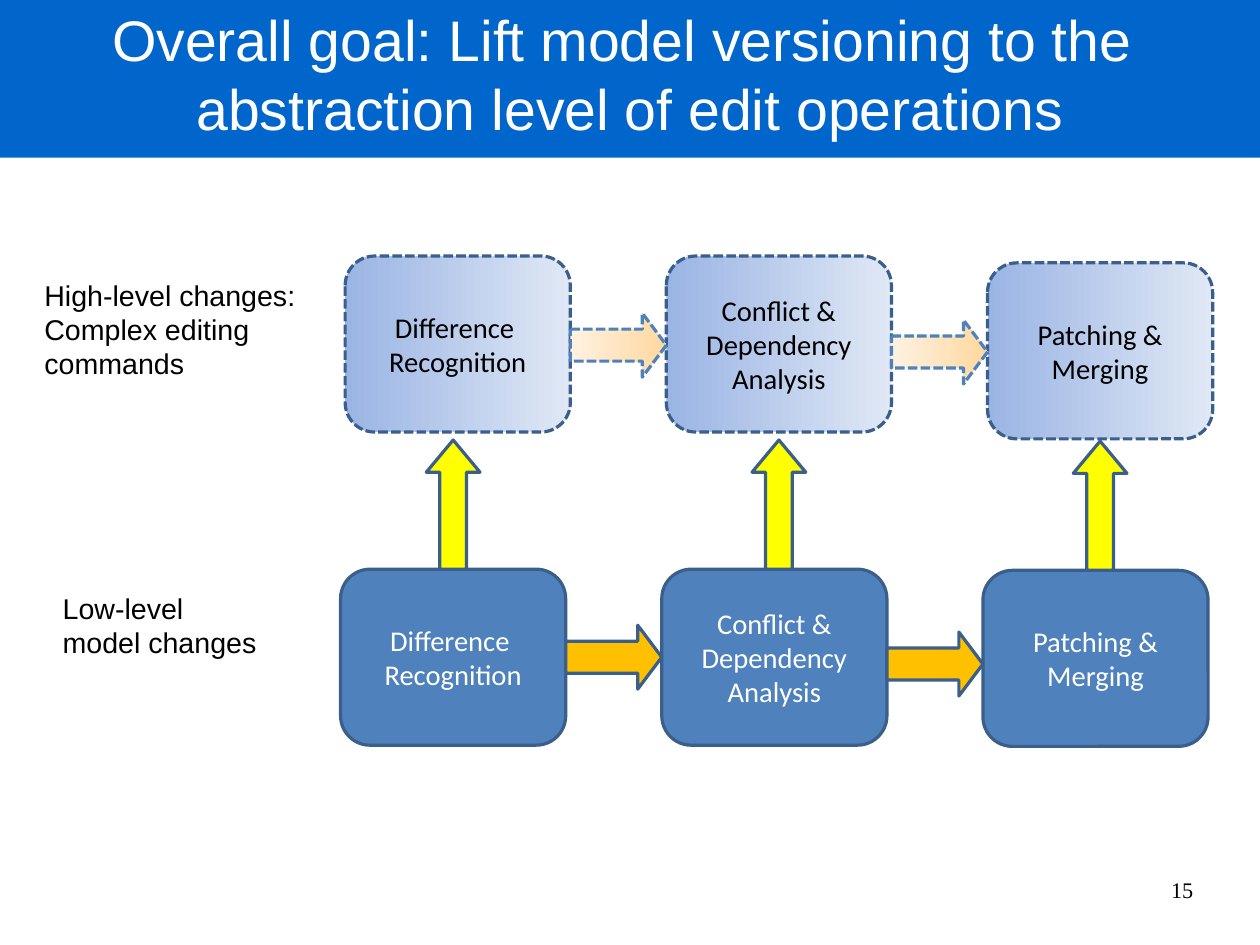
"""Builds the slide on lifting model versioning to edit operations."""
from pptx import Presentation
from pptx.dml.color import RGBColor
from pptx.enum.dml import MSO_LINE
from pptx.enum.shapes import MSO_SHAPE
from pptx.enum.text import MSO_ANCHOR, MSO_AUTO_SIZE, PP_ALIGN
from pptx.util import Inches, Pt

RECT, ROUNDED = MSO_SHAPE.RECTANGLE, MSO_SHAPE.ROUNDED_RECTANGLE
RIGHT_ARROW, UP_ARROW = MSO_SHAPE.RIGHT_ARROW, MSO_SHAPE.UP_ARROW
LEFT, CENTER, RIGHT = PP_ALIGN.LEFT, PP_ALIGN.CENTER, PP_ALIGN.RIGHT
TOP, MIDDLE = MSO_ANCHOR.TOP, MSO_ANCHOR.MIDDLE
FIT_SHAPE = MSO_AUTO_SIZE.SHAPE_TO_FIT_TEXT
SHORT_DASH = MSO_LINE.SQUARE_DOT

CM_PER_INCH = 2.54
SLIDE_W, SLIDE_H = 28 / CM_PER_INCH, 21 / CM_PER_INCH
TITLE = ["Overall goal: Lift model versioning to the \n"
         "abstraction level of edit operations"]
PAGE_NUMBER = ["15"]
STEPS = [["Difference ", "Recognition"],
         ["Conflict & Dependency", "Analysis"],
         ["Patching &", "Merging"]]
LEVELS = [
    dict(label=["Low-level", "model changes"], label_at=(0.45, 5.12, 1.93, 0.7),
         left=2.98, tops=(4.98, 4.98, 4.99), flow_tops=(5.47, 5.53),
         box_fill=["4F81BD"], text="FFFFFF", flow_fill=["FFC000"],
         flow_line="3A5F8B", dash=None),
    dict(label=["High-level changes:", "Complex editing", "commands"],
         label_at=(0.29, 2.38, 2.43, 1.6),
         left=3.02, tops=(2.24, 2.24, 2.3), flow_tops=(2.74, 2.8),
         box_fill=["9AB4E4", "E0E8F5"], text="000000",
         flow_fill=["FFF2E2", "FFD89F"], flow_line="4F81BD", dash=SHORT_DASH),
]
LIFTS = [(3.73, 3.85), (6.58, 3.85), (9.39, 3.86)]
BOX_W, BOX_H, PITCH = 1.97, 1.54, 2.81
FLOW_W, FLOW_H = 0.84, 0.56
LIFT_W, LIFT_H = 0.47, 1.13
OUTLINE = "3A5F8B"


def color(value):
    return RGBColor.from_string(value)


def write(frame, lines, font, size, ink, align, anchor, margins=(0.1, 0.05), wrap=True):
    frame.word_wrap = wrap
    frame.vertical_anchor = anchor
    frame.margin_left = frame.margin_right = Inches(margins[0])
    frame.margin_top = frame.margin_bottom = Inches(margins[1])
    for index, line in enumerate(lines):
        paragraph = frame.add_paragraph() if index else frame.paragraphs[0]
        paragraph.alignment = align
        for row, words in enumerate(line.split("\n")):
            if row:
                paragraph.add_line_break()
            run = paragraph.add_run()
            run.text = words
            run.font.name = font
            run.font.size = Pt(size)
            run.font.color.rgb = color(ink)


def draw(shapes, kind, at, fills, line=None, dash=None, adjustments=()):
    part = shapes.add_shape(kind, *map(Inches, at))
    part.shadow.inherit = False
    if len(fills) == 1:
        part.fill.solid()
        part.fill.fore_color.rgb = color(fills[0])
    else:
        part.fill.gradient()
        part.fill.gradient_angle = 0
        for stop, value in zip(part.fill.gradient_stops, fills):
            stop.color.rgb = color(value)
    if line:
        part.line.color.rgb = color(line)
        part.line.width = Pt(2)
        if dash:
            part.line.dash_style = dash
    else:
        part.line.fill.background()
    for index, value in enumerate(adjustments):
        part.adjustments[index] = value
    return part


def draw_level(shapes, level):
    lefts = [level["left"] + PITCH * column for column in range(len(STEPS))]
    for step, left, top in zip(STEPS, lefts, level["tops"]):
        box = draw(shapes, ROUNDED, (left, top, BOX_W, BOX_H), level["box_fill"],
                   OUTLINE, level["dash"], [0.167])
        write(box.text_frame, step, "Calibri", 18, level["text"], CENTER, MIDDLE)
    label = shapes.add_textbox(*map(Inches, level["label_at"])).text_frame
    write(label, level["label"], "Arial", 18, "000000", LEFT, TOP, wrap=False)
    label.auto_size = FIT_SHAPE
    for left, top in zip(lefts, level["flow_tops"]):
        draw(shapes, RIGHT_ARROW, (left + BOX_W, top, FLOW_W, FLOW_H),
             level["flow_fill"], level["flow_line"], level["dash"], [0.5, 0.376])


def main():
    deck = Presentation()
    deck.slide_width, deck.slide_height = Inches(SLIDE_W), Inches(SLIDE_H)
    shapes = deck.slides.add_slide(deck.slide_layouts[6]).shapes
    for level in LEVELS:
        draw_level(shapes, level)
    for left, top in LIFTS:
        draw(shapes, UP_ARROW, (left, top, LIFT_W, LIFT_H), ["FFFF00"], OUTLINE,
             adjustments=[0.5, 0.6])
    banner = draw(shapes, RECT, (0, -0.1, SLIDE_W, 1.48), ["0066CC"])
    write(banner.text_frame, TITLE, "Arial", 36, "FFFFFF", CENTER, MIDDLE, (0, 0))
    number = shapes.add_textbox(*map(Inches, (7.87, 7.5, 2.57, 0.57)))
    write(number.text_frame, PAGE_NUMBER, "Times New Roman", 14, "000000",
          RIGHT, MIDDLE, (0, 0))
    deck.save("out.pptx")


if __name__ == "__main__":
    main()
